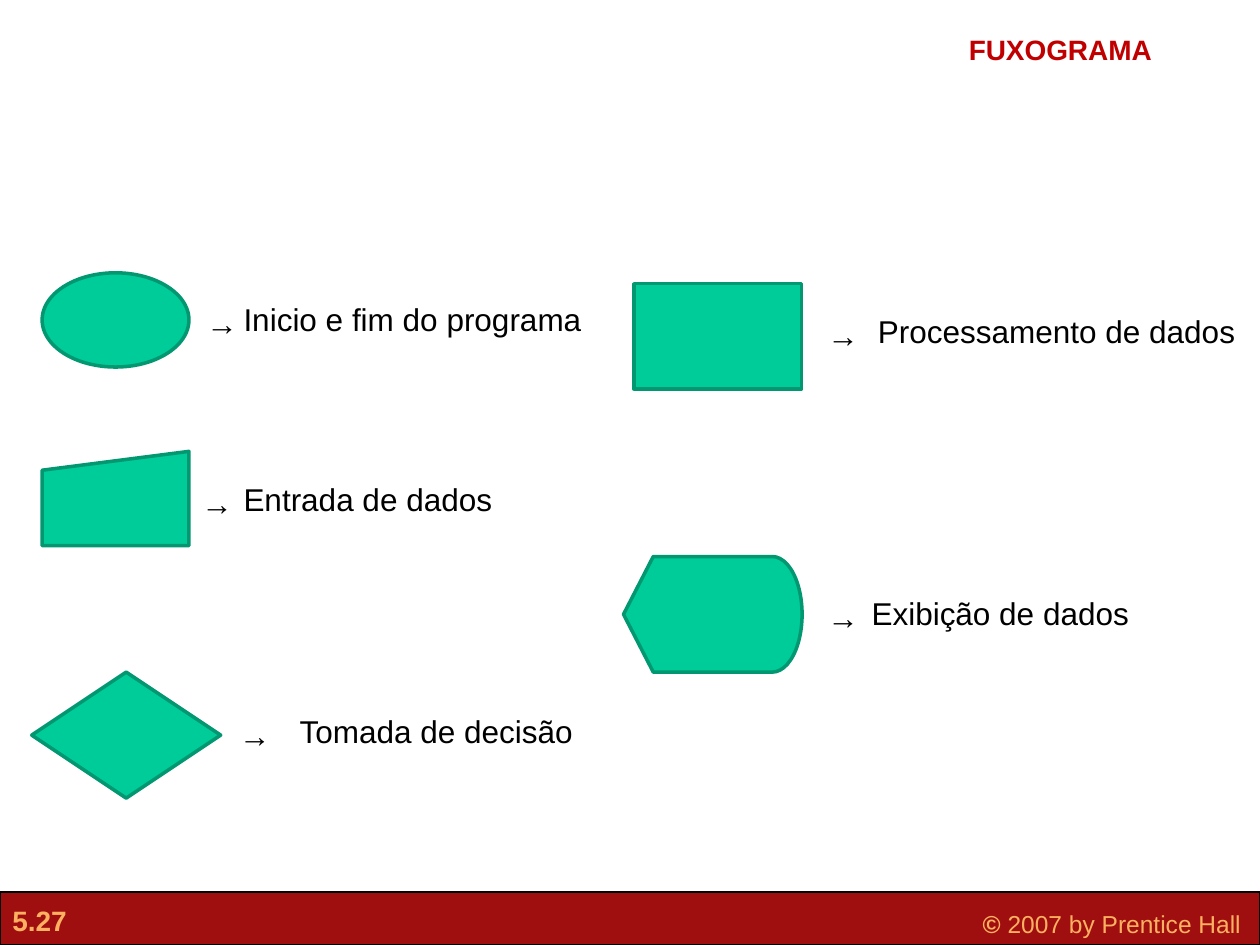
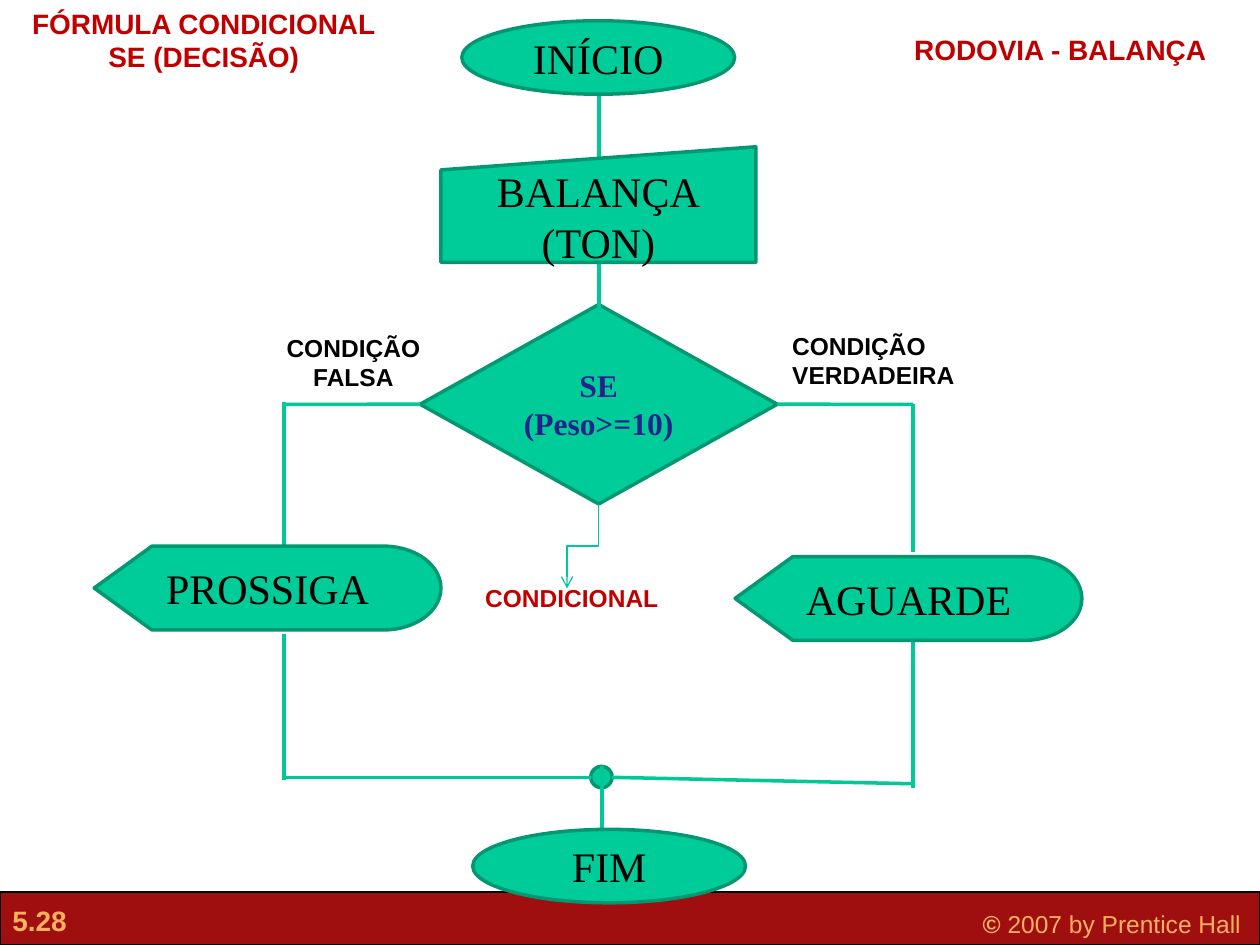
import pptx
import pptx.dml.color
import pptx.enum.shapes
import pptx.enum.text
import pptx.oxml.ns
import pptx.util
from lxml import etree

Cm = pptx.util.Cm
Pt = pptx.util.Pt
RGB = pptx.dml.color.RGBColor.from_string
Shape = pptx.enum.shapes.MSO_SHAPE
Connector = pptx.enum.shapes.MSO_CONNECTOR
Align = pptx.enum.text.PP_ALIGN
qn = pptx.oxml.ns.qn

COLORS = {
    "band": "9F0F10", "band_text": "FFB060", "title": "C00000",
    "node": "00CC99", "node_line": "009771", "flow": "00C896",
    "text": "000000", "condition": "22228B",
}
SANS, SERIF = "Arial", "Times New Roman"


def write_run(paragraph, text, size, color, font=SANS, bold=False):
    run = paragraph.add_run()
    run.text = text
    run.font.size = Pt(size)
    run.font.name = font
    run.font.bold = bold
    run.font.color.rgb = RGB(COLORS[color])


def add_box(slide, kind, position, lines=(), size=18, color="text", font=SANS,
            bold=False, align=Align.LEFT, wrap=True):
    """Add a flowchart symbol, or a text box when kind is None."""
    lengths = [Cm(value) for value in position]
    if kind is None:
        shape = slide.shapes.add_textbox(*lengths)
        shape.text_frame.auto_size = pptx.enum.text.MSO_AUTO_SIZE.SHAPE_TO_FIT_TEXT
    else:
        shape = slide.shapes.add_shape(kind, *lengths)
        shape.shadow.inherit = False
        shape.fill.solid()
        shape.fill.fore_color.rgb = RGB(COLORS["node"])
        shape.line.color.rgb = RGB(COLORS["node_line"])
        shape.line.width = Pt(2)
        shape.text_frame.vertical_anchor = pptx.enum.text.MSO_ANCHOR.MIDDLE
    frame = shape.text_frame
    frame.word_wrap = wrap
    for index, line in enumerate(lines):
        paragraph = frame.add_paragraph() if index else frame.paragraphs[0]
        paragraph.alignment = align
        write_run(paragraph, line, size, color, font, bold)
    return shape


presentation = pptx.Presentation()
presentation.slide_width = Cm(25.4)
presentation.slide_height = Cm(19.05)

# Shared band, page number, copyright line and right-hand title
slides = []
for number, title in [("5.27", "FUXOGRAMA"), ("5.28", "RODOVIA - BALANÇA")]:
    slide = presentation.slides.add_slide(presentation.slide_layouts[6])
    band = add_box(slide, Shape.RECTANGLE, (0, 17.98, 25.4, 1.07))
    band.fill.fore_color.rgb = RGB(COLORS["band"])
    band.line.color.rgb = RGB(COLORS["text"])
    band.line.width = Pt(0.75)
    add_box(slide, None, (0, 18.08, 1.93, 0.94), [number], 16, "band_text", bold=True)
    rights = add_box(slide, None, (19.56, 18.21, 6.55, 0.84), ["©"], 14, "band_text", bold=True)
    write_run(rights.text_frame.paragraphs[0], " 2007 by Prentice Hall", 14, "band_text")
    add_box(slide, None, (17.35, 0.53, 8.05, 0.94), [title], 16, "title",
            bold=True, align=Align.CENTER)
    slides.append(slide)
legend_slide, flow_slide = slides

# Legend: symbol, its place, arrow left, label left, label top, label width, label
legend = [
    (Shape.FLOWCHART_CONNECTOR, (0.85, 5.5, 2.96, 1.9), 3.91, 4.66, 5.92, 7.39,
     "Inicio e fim do programa"),
    (Shape.FLOWCHART_MANUAL_INPUT, (0.85, 9.1, 2.96, 1.9), 3.81, 4.66, 9.55, 5.56,
     "Entrada de dados"),
    (Shape.FLOWCHART_DECISION, (0.64, 13.55, 3.81, 2.54), 4.57, 5.79, 14.23, 6.07,
     "Tomada de decisão"),
    (Shape.FLOWCHART_PROCESS, (12.78, 5.72, 3.38, 2.12), 16.43, 17.45, 6.17, 7.95,
     "Processamento de dados"),
    (Shape.FLOWCHART_DISPLAY, (12.57, 11.22, 3.6, 2.33), 16.43, 17.32, 11.86, 5.74,
     "Exibição de dados"),
]
for kind, position, arrow_left, label_left, top, width, label in legend:
    add_box(legend_slide, kind, position)
    add_box(legend_slide, None, (label_left, top, width, 1.02), [label], wrap=False)
    add_box(legend_slide, None, (arrow_left, top + 0.08, 1.14, 1.02), ["→"], wrap=False)

# Flowchart captions
captions = [
    ((0.2, 0, 7.82, 1.63), ["FÓRMULA CONDICIONAL", "SE (DECISÃO)"], 16, "title", Align.CENTER),
    ((15.72, 6.55, 3.81, 1.45), ["CONDIÇÃO", "VERDADEIRA"], 14, "text", Align.LEFT),
    ((5.51, 6.58, 3.23, 1.45), ["CONDIÇÃO", "FALSA"], 14, "text", Align.CENTER),
    ((9.53, 11.63, 4.04, 0.86), ["CONDICIONAL"], 14, "title", Align.LEFT),
]
for position, lines, size, color, align in captions:
    add_box(flow_slide, None, position, lines, size, color, bold=True, align=align, wrap=False)

# Decision and junction, which lie under the flow lines
decision = add_box(flow_slide, Shape.FLOWCHART_DECISION, (8.47, 6.14, 7.2, 4.02),
                   ["SE", "(Peso>=10)"], 18, "condition", SERIF, True, Align.CENTER)
add_box(flow_slide, Shape.OVAL, (11.91, 15.45, 0.43, 0.43))

# Flow lines: left and right branches, junction, main axis
left_x, right_x, axis_x, end_x = 5.72, 18.41, 12.07, 12.14
branch_y, join_y = 8.15, 15.67
flow_lines = [
    (15.67, branch_y, right_x, branch_y, 3),
    (8.47, branch_y, left_x, branch_y, 1),
    (left_x, 11.07, left_x, 8.1, None),
    (right_x, 11.13, right_x, branch_y, None),
    (left_x, join_y, 11.91, join_y, None),
    (left_x, 15.72, left_x, 12.78, None),
    (12.34, join_y, right_x, 15.8, None),
    (right_x, 15.88, right_x, 12.9, None),
    (end_x, 16.71, end_x, 15.44, None),
    (axis_x, 6.35, axis_x, 5.08, None),
    (axis_x, 3.18, axis_x, 1.91, None),
]
connectors = []
for *ends, side in flow_lines:
    connector = flow_slide.shapes.add_connector(Connector.STRAIGHT, *[Cm(end) for end in ends])
    if side is not None:
        connector.begin_connect(decision, side)
    connector.line.width = Pt(2)
    connectors.append(connector)

# Bent arrow from the decision down to its caption, turned a quarter
bent = flow_slide.shapes.add_connector(Connector.ELBOW, Cm(10.9), Cm(10.69), Cm(12.6), Cm(11.33))
bent.element.spPr.find(qn("a:xfrm")).set("rot", str(90 * 60000))
bent.line.width = Pt(0.75)
for connector in connectors + [bent]:
    connector.line.color.rgb = RGB(COLORS["flow"])
    etree.SubElement(connector.element.spPr, qn("a:effectLst"))
etree.SubElement(bent.element.spPr.find(qn("a:ln")), qn("a:tailEnd"), type="arrow")

# Steps, which lie over the flow lines
steps = [
    (Shape.OVAL, (9.31, 0.42, 5.5, 1.48), ["INÍCIO"]),
    (Shape.FLOWCHART_MANUAL_INPUT, (8.89, 2.96, 6.35, 2.33), ["BALANÇA", "(TON)"]),
    (Shape.FLOWCHART_DISPLAY, (1.9, 11.01, 6.99, 1.69), ["PROSSIGA"]),
    (Shape.FLOWCHART_DISPLAY, (14.82, 11.22, 6.99, 1.69), ["AGUARDE"]),
    (Shape.OVAL, (9.53, 16.72, 5.5, 1.48), ["FIM"]),
]
for kind, position, lines in steps:
    add_box(flow_slide, kind, position, lines, 24, font=SERIF, align=Align.CENTER)

presentation.save("out.pptx")
